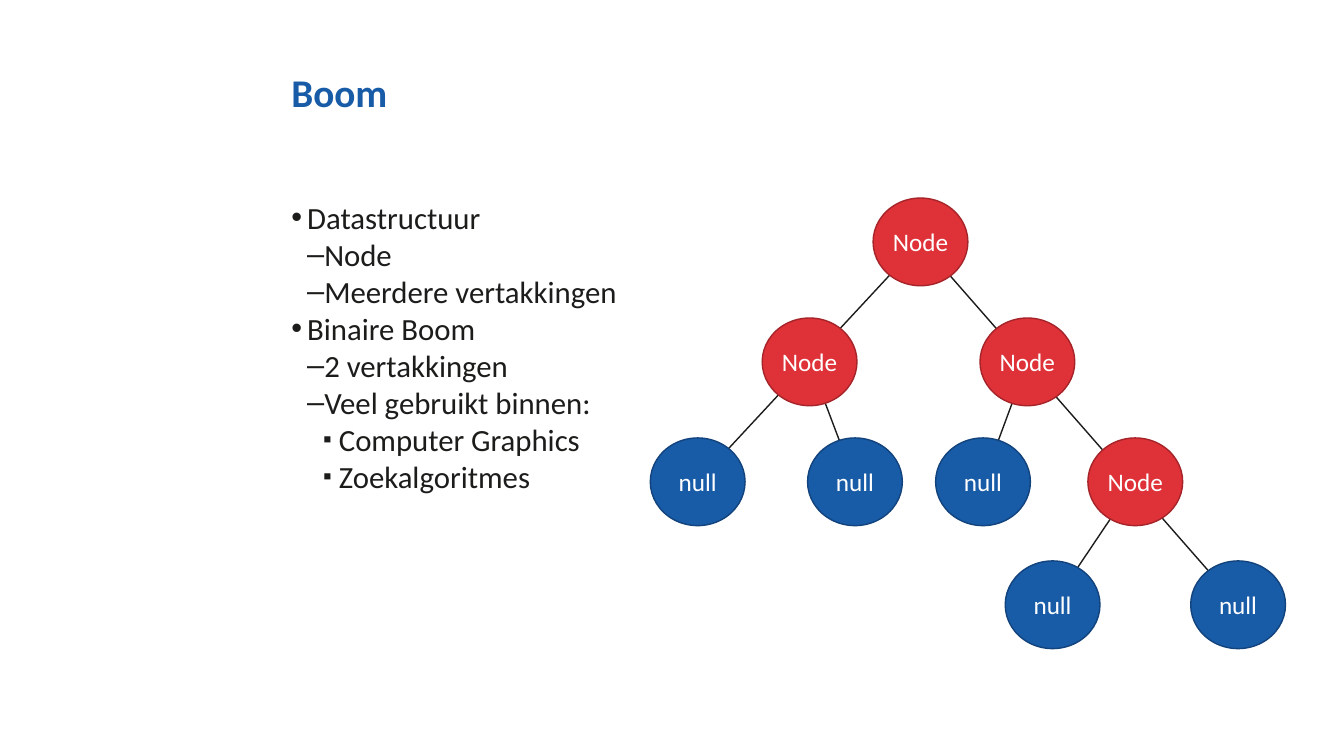
from lxml import etree
from pptx import Presentation
from pptx.dml.color import RGBColor
from pptx.enum.shapes import MSO_CONNECTOR, MSO_SHAPE
from pptx.enum.text import MSO_ANCHOR, MSO_AUTO_SIZE, PP_ALIGN
from pptx.oxml.ns import qn
from pptx.util import Inches, Pt

TITLE = "Boom"
BULLETS = [
    (0, "Datastructuur"),
    (1, "Node"),
    (1, "Meerdere vertakkingen"),
    (0, "Binaire Boom"),
    (1, "2 vertakkingen"),
    (1, "Veel gebruikt binnen:"),
    (2, "Computer Graphics"),
    (2, "Zoekalgoritmes"),
]
BULLET_STYLES = [("•", 100), ("–", 100), ("▪", 80)]
TREE = {
    "root": ("Node", 9.13, 0),
    "left": ("Node", 8.03, 1),
    "right": ("Node", 10.19, 1),
    "right right": ("Node", 11.26, 2),
    "left left": ("null", 6.92, 2),
    "left right": ("null", 8.48, 2),
    "right left": ("null", 9.75, 2),
    "deep left": ("null", 10.44, 3),
    "deep right": ("null", 12.28, 3),
}
BRANCHES = [
    ("root", "left left"),
    ("root", "deep right"),
    ("left", "left right"),
    ("right", "right left"),
    ("right right", "deep left"),
]
COLORS = {"text": "1C1C1A", "title": "185BA7", "white": "FFFFFF"}
NODE_COLORS = {"Node": ("DF3138", "A52429"), "null": ("185BA7", "12437C")}
FONT = "Calibri"
LEVEL_CENTERS = [2.4, 3.59, 4.78, 6]
NODE_WIDTH, NODE_HEIGHT = 0.94, 0.87
INDENT = 0.157


def color(value):
    return RGBColor.from_string(value)


def write(paragraph, text, size, fill, bold=False, align=PP_ALIGN.LEFT, spacing=1.0):
    paragraph.alignment = align
    paragraph.line_spacing = spacing
    paragraph.space_before = paragraph.space_after = Pt(0)
    run = paragraph.add_run()
    run.text = text
    run.font.name = FONT
    run.font.size = Pt(size)
    run.font.bold = bold
    run.font.color.rgb = color(fill)


def set_frame(frame, anchor, vertical_margin=0, wrap=True):
    frame.auto_size = MSO_AUTO_SIZE.NONE
    frame.word_wrap = wrap
    frame.vertical_anchor = anchor
    frame.margin_left = frame.margin_right = 0
    frame.margin_top = frame.margin_bottom = Inches(vertical_margin)


def place(shape, left, top, width, height):
    shape.left, shape.top = Inches(left), Inches(top)
    shape.width, shape.height = Inches(width), Inches(height)


def add_bullet(paragraph, level):
    character, percent = BULLET_STYLES[level]
    paragraph.level = level
    properties = paragraph._p.get_or_add_pPr()
    properties.set("marL", str(Inches(INDENT * (level + 1))))
    properties.set("indent", str(-Inches(INDENT)))
    etree.SubElement(properties, qn("a:buSzPct"), val=str(percent * 1000))
    etree.SubElement(properties, qn("a:buFont"), typeface="Arial")
    etree.SubElement(properties, qn("a:buChar"), char=character)


def center(name):
    _, x, level = TREE[name]
    return x, LEVEL_CENTERS[level]


def add_branch(shapes, parent, child):
    points = [Inches(value) for value in center(parent) + center(child)]
    connector = shapes.add_connector(MSO_CONNECTOR.STRAIGHT, *points)
    connector.line.color.rgb = color(COLORS["text"])
    connector.line.width = Pt(1)
    etree.SubElement(connector._element.spPr, qn("a:effectLst"))


def add_node(shapes, name):
    label = TREE[name][0]
    x, y = center(name)
    node = shapes.add_shape(
        MSO_SHAPE.OVAL,
        Inches(x - NODE_WIDTH / 2), Inches(y - NODE_HEIGHT / 2),
        Inches(NODE_WIDTH), Inches(NODE_HEIGHT),
    )
    fill, outline = NODE_COLORS[label]
    node.shadow.inherit = False
    node.fill.solid()
    node.fill.fore_color.rgb = color(fill)
    node.line.color.rgb = color(outline)
    node.line.width = Pt(1)
    set_frame(node.text_frame, MSO_ANCHOR.MIDDLE, vertical_margin=0.05, wrap=False)
    write(node.text_frame.paragraphs[0], label, 18, COLORS["white"], align=PP_ALIGN.CENTER)


def main():
    presentation = Presentation()
    presentation.slide_width, presentation.slide_height = Inches(13.33), Inches(7.5)
    slide = presentation.slides.add_slide(presentation.slide_layouts[1])

    title = slide.shapes.title
    place(title, 2.89, 0.75, 9.39, 0.38)
    set_frame(title.text_frame, MSO_ANCHOR.MIDDLE)
    write(title.text_frame.paragraphs[0], TITLE, 28, COLORS["title"], bold=True, spacing=0.9)

    body = slide.placeholders[1]
    place(body, 2.89, 1.97, 9.39, 4.66)
    set_frame(body.text_frame, MSO_ANCHOR.TOP)
    for index, (level, text) in enumerate(BULLETS):
        paragraph = body.text_frame.add_paragraph() if index else body.text_frame.paragraphs[0]
        write(paragraph, text, 22, COLORS["text"])
        add_bullet(paragraph, level)

    tree = slide.shapes.add_group_shape()
    for parent, child in BRANCHES:
        add_branch(tree.shapes, parent, child)
    for name in TREE:
        add_node(tree.shapes, name)

    presentation.save("out.pptx")


if __name__ == "__main__":
    main()
